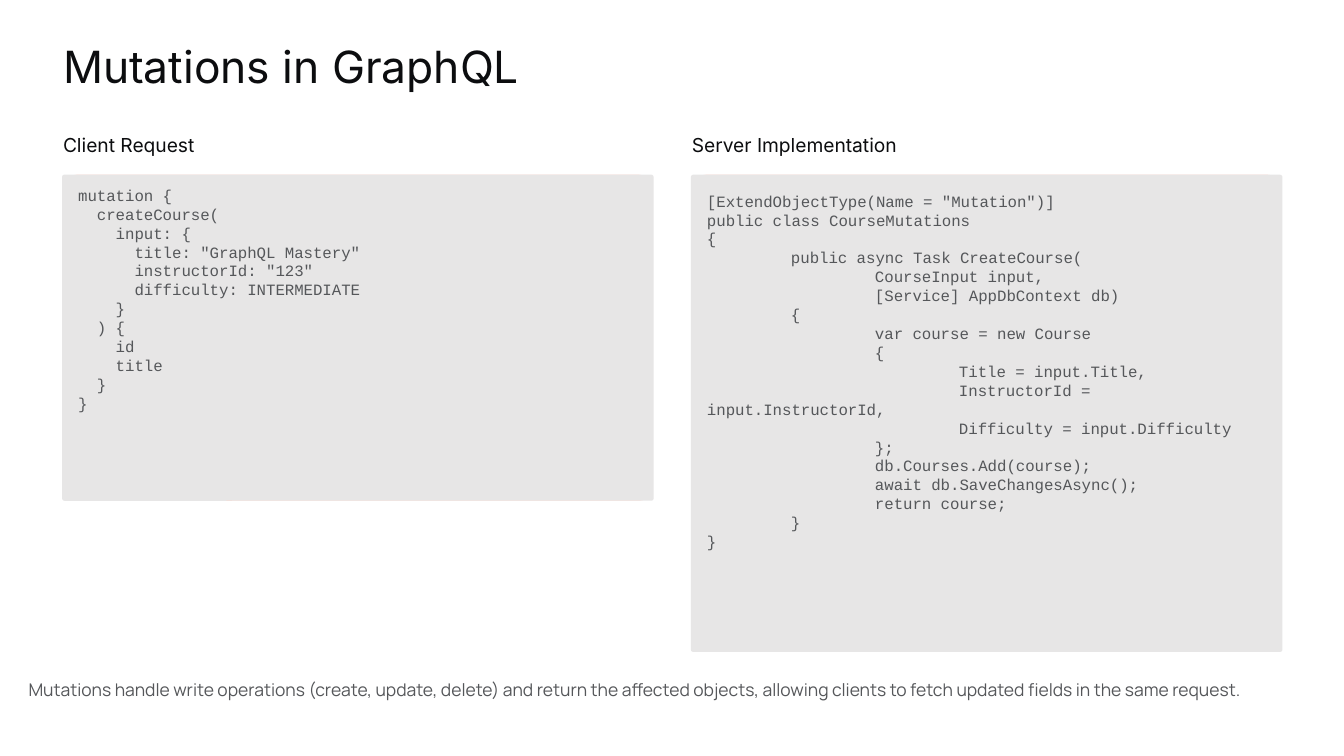
from pptx import Presentation
from pptx.dml.color import RGBColor
from pptx.enum import shapes, text
from pptx.oxml import parse_xml
from pptx.oxml.ns import nsdecls
from pptx.util import Pt

INK, GREY, PANEL, PINK = "0C0D0F", "55575A", "E7E6E6", "FFD7CC"
TAB = 72
CLIENT_CODE = """mutation {
  createCourse(
    input: {
      title: "GraphQL Mastery"
      instructorId: "123"
      difficulty: INTERMEDIATE
    }
  ) {
    id
    title
  }
}"""
SERVER_CODE = """[ExtendObjectType(Name = "Mutation")]
public class CourseMutations
{
    public async Task CreateCourse(
        CourseInput input,
        [Service] AppDbContext db)
    {
        var course = new Course
        {
            Title = input.Title,
            InstructorId = input.InstructorId,
            Difficulty = input.Difficulty
        };
        db.Courses.Add(course);
        await db.SaveChangesAsync();
        return course;
    }
}""".replace("    ", "\t")


def color(value):
    return RGBColor.from_string(value)


def write(box, words, font, size, ink, spacing, wrap=False):
    """Fill a box with one paragraph per line, without margins."""
    frame = box.text_frame
    frame.text = words
    settings = {
        "margin_left": 0, "margin_top": 0, "margin_right": 0, "margin_bottom": 0,
        "word_wrap": wrap, "auto_size": text.MSO_AUTO_SIZE.NONE,
        "vertical_anchor": text.MSO_ANCHOR.TOP,
    }
    for name, value in settings.items():
        setattr(frame, name, value)
    for para in frame.paragraphs:
        if "\t" in para.text:
            stops = "".join(f'<a:tab pos="{Pt(TAB * n)}" algn="l"/>' for n in (1, 2, 3))
            para._p.get_or_add_pPr().append(
                parse_xml(f'<a:tabLst {nsdecls("a")}>{stops}</a:tabLst>'))
        para.alignment = text.PP_ALIGN.LEFT
        para.line_spacing = Pt(spacing)
        for span in para.runs:
            for name, value in {"name": font, "size": Pt(size)}.items():
                setattr(span.font, name, value)
            span.font.color.rgb = color(ink)


deck = Presentation()
deck.slide_width, deck.slide_height = Pt(1152), Pt(648)
page = deck.slides.add_slide(deck.slide_layouts[5])
page.background.fill.solid()
page.background.fill.fore_color.rgb = color("FFFFFF")

title = page.shapes.title
title.left, title.top, title.width, title.height = Pt(54), Pt(37.5), Pt(480), Pt(42.5)
write(title, "Mutations in GraphQL", "Inter", 38, INK, 42, wrap=True)

# Column: left edge, heading, panel height, code top, code
columns = [
    (54, "Client Request", 279.5, 159, CLIENT_CODE),
    (593, "Server Implementation", 409, 164, SERVER_CODE),
]
panel_top = 149.75
for left, heading, height, code_top, code in columns:
    label = page.shapes.add_textbox(Pt(left), Pt(113), Pt(181), Pt(21))
    write(label, heading, "Inter", 16.5, INK, 21)

    for outset, radius, fill in ((0, 12, PINK), (0.75, 2, PANEL)):
        panel = page.shapes.add_shape(
            shapes.MSO_SHAPE.ROUNDED_RECTANGLE, Pt(left - outset), Pt(panel_top),
            Pt(505.5 + 2 * outset), Pt(height))
        panel.adjustments[0] = radius / height
        panel.shadow.inherit = False
        panel.fill.solid()
        panel.fill.fore_color.rgb = color(fill)
        panel.line.fill.background()

    listing = page.shapes.add_textbox(
        Pt(left + 13), Pt(code_top), Pt(479.5), Pt(panel_top + height - code_top - 10))
    write(listing, code, "Courier New", 13.5, GREY, 16.2, wrap=True)

summary = page.shapes.add_textbox(Pt(24.5), Pt(578.5), Pt(1044), Pt(21.5))
write(summary, "Mutations handle write operations (create, update, delete) and return the "
      "affected objects, allowing clients to fetch updated fields in the same request.",
      "Manrope", 15, GREY, 21.5)

deck.save("out.pptx")
